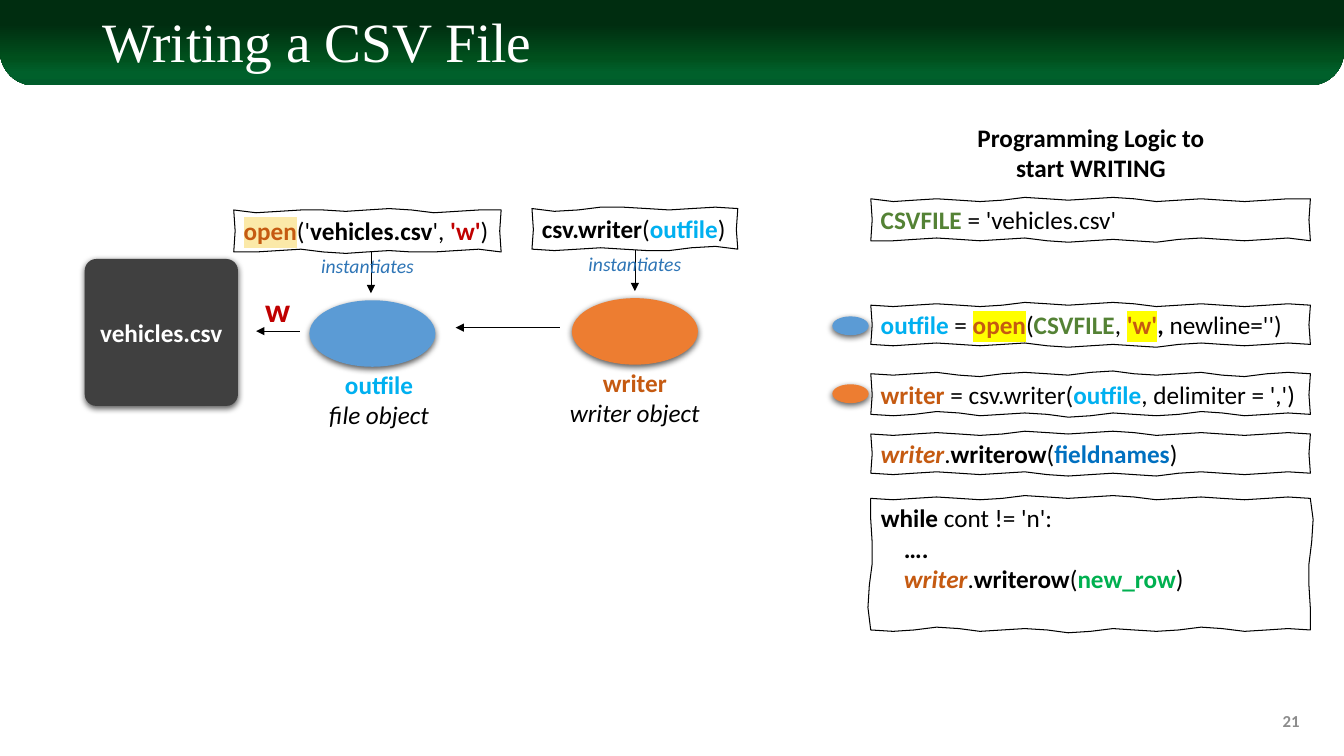
from math import pi, sin

from pptx import Presentation
from pptx.dml.color import RGBColor
from pptx.enum.shapes import MSO_CONNECTOR, MSO_SHAPE
from pptx.enum.text import MSO_ANCHOR, PP_ALIGN
from pptx.oxml import parse_xml
from pptx.oxml.ns import nsdecls
from pptx.util import Pt

COLOURS = {
    "white": "FFFFFF", "black": "000000", "grey": "8C8C8C", "charcoal": "404040",
    "blue": "5B9BD5", "orange": "ED7D31", "sky": "00B0F0", "rust": "C55A11",
    "red": "C00000", "olive": "548235", "azure": "0070C0", "green": "00B050",
    "steel": "2E75B6", "yellow": "FFFF00", "cream": "FBE9A8",
    "header top": "002D10", "header middle": "00501D",
    "header low": "00602B", "header bottom": "005C2B",
}
LEFT, CENTRE, RIGHT = PP_ALIGN.LEFT, PP_ALIGN.CENTER, PP_ALIGN.RIGHT
CODE_LEFT, CODE_WIDTH, ROW_HEIGHT = 622, 314, 29


def write(box, lines, align=CENTRE, size=18, font="Calibri", anchor=MSO_ANCHOR.TOP):
    frame = box.text_frame
    frame.word_wrap = align != CENTRE
    frame.vertical_anchor = anchor
    for index, line in enumerate(lines):
        para = frame.add_paragraph() if index else frame.paragraphs[0]
        para.alignment = align
        para.font.size = Pt(size)
        para.font.name = font
        for text, colour, style, *marker in line:
            span = para.add_run()
            span.text = text
            span.font.bold = "b" in style
            span.font.italic = "i" in style
            span.font.color.rgb = RGBColor.from_string(COLOURS[colour])
            for name in marker:
                span.font._element.append(parse_xml(
                    f'<a:highlight {nsdecls("a")}><a:srgbClr val="{COLOURS[name]}"/></a:highlight>'))


def add_sketched_box(left, top, width, height):
    points = []
    edges = [(left, top, 1, 0, width), (left + width, top, 0, 1, height),
             (left + width, top + height, -1, 0, width), (left, top + height, 0, -1, height)]
    for x, y, across, down, length in edges:
        waves = max(1, round(length / 64))
        steps = round(length / 16)
        for step in range(steps):
            share = step / steps
            wobble = 1.1 * sin(2 * pi * waves * share) + 0.6 * sin(3 * pi * share)
            points.append((x + across * length * share + down * wobble,
                           y + down * length * share + across * wobble))
    builder = page.shapes.build_freeform(*points[0], scale=Pt(1))
    builder.add_line_segments(points[1:], close=True)
    box = builder.convert_to_shape()
    box.shadow.inherit = False
    box.fill.background()
    box.line.color.rgb = RGBColor.from_string(COLOURS["black"])
    box.line.width = Pt(0.75)
    frame = box.text_frame
    frame.margin_left = Pt(left + 7.2) - box.left
    frame.margin_top = Pt(top + 3.6) - box.top
    frame.margin_right = frame.margin_bottom = Pt(3)
    return box


deck = Presentation()
deck.slide_width, deck.slide_height = Pt(960), Pt(540)
page = deck.slides.add_slide(deck.slide_layouts[6])

header = page.shapes.add_shape(MSO_SHAPE.ROUND_2_SAME_RECTANGLE, 0, 0, Pt(960), Pt(61))
header.adjustments[0], header.adjustments[1] = 0, 0.4
header.shadow.inherit = False
header.line.fill.background()
stops = [(0, "header top"), (28, "header top"), (68, "header middle"),
         (85, "header low"), (100, "header bottom")]
stop_xml = "".join(f'<a:gs pos="{position * 1000}"><a:srgbClr val="{COLOURS[name]}"/></a:gs>'
                   for position, name in stops)
header._element.spPr.insert(2, parse_xml(
    f'<a:gradFill {nsdecls("a")}><a:gsLst>{stop_xml}</a:gsLst><a:lin ang="5400000" scaled="0"/></a:gradFill>'))

title = page.shapes.add_textbox(Pt(66), Pt(9.5), Pt(828), Pt(44))
write(title, [[("Writing a CSV File", "white", "")]], LEFT, 39.6, "Times New Roman", MSO_ANCHOR.MIDDLE)
title.text_frame.paragraphs[0].line_spacing = 0.9

page_number = page.shapes.add_textbox(Pt(719.5), Pt(500.5), Pt(216), Pt(29))
write(page_number, [[("21", "grey", "b")]], RIGHT, 12, anchor=MSO_ANCHOR.MIDDLE)

solids = [
    (MSO_SHAPE.ROUNDED_RECTANGLE, 60.5, 185, 109.5, 105, "charcoal"),
    (MSO_SHAPE.OVAL, 221, 214.5, 90, 47.5, "blue"),
    (MSO_SHAPE.OVAL, 408.5, 213, 90, 47.5, "orange"),
    (MSO_SHAPE.OVAL, 594.5, 226, 26, 13.5, "blue"),
    (MSO_SHAPE.OVAL, 594.5, 274.5, 26, 13.5, "orange"),
]
for kind, left, top, width, height, colour in solids:
    solid = page.shapes.add_shape(kind, Pt(left), Pt(top), Pt(width), Pt(height))
    solid.fill.solid()
    solid.fill.fore_color.rgb = RGBColor.from_string(COLOURS[colour])
    solid.line.fill.background()
    solid._element.spPr.append(parse_xml(
        f'<a:effectLst {nsdecls("a")}><a:outerShdw blurRad="{Pt(4.5)}" dist="{Pt(1.5)}" dir="5400000" '
        f'rotWithShape="0"><a:srgbClr val="{COLOURS["black"]}"><a:alpha val="63000"/></a:srgbClr>'
        '</a:outerShdw></a:effectLst>'))
    if kind == MSO_SHAPE.ROUNDED_RECTANGLE:
        solid.adjustments[0] = 0.08
        write(solid, [[("vehicles.csv", "white", "b")]], anchor=MSO_ANCHOR.MIDDLE)

arrows = [(265, 180, 265, 209.5), (453.5, 178.5, 453.5, 208),
          (214, 236.5, 183, 236.5), (400, 234, 325.5, 234)]
for start_x, start_y, end_x, end_y in arrows:
    arrow = page.shapes.add_connector(MSO_CONNECTOR.STRAIGHT, Pt(start_x), Pt(start_y), Pt(end_x), Pt(end_y))
    arrow.line.color.rgb = RGBColor.from_string(COLOURS["black"])
    arrow.line.width = Pt(0.5)
    arrow.line._get_or_add_ln().append(parse_xml(f'<a:tailEnd {nsdecls("a")} type="triangle"/>'))
    arrow._element.spPr.append(parse_xml(f'<a:effectLst {nsdecls("a")}/>'))

labels = [
    (690, 83.5, 178.5, 51, 18, [[("Programming Logic to", "black", "b")], [("start WRITING", "black", "b")]]),
    (227.5, 260, 86.5, 51, 18, [[("outfile", "sky", "b")], [("file object", "black", "i")]]),
    (399.5, 258.5, 108, 51, 18, [[("writer", "rust", "b")], [("writer object", "black", "i")]]),
    (182, 202.5, 32.5, 36, 24, [[("w", "red", "b")]]),
    (221.5, 178, 82, 24.5, 14, [[("instantiates", "steel", "i")]]),
    (412.5, 176.5, 82, 24.5, 14, [[("instantiates", "steel", "i")]]),
]
for left, top, width, height, size, lines in labels:
    label = page.shapes.add_textbox(Pt(left), Pt(top), Pt(width), Pt(height))
    write(label, lines, size=size)

calls = [
    (167, 150.5, 191, [("open", "rust", "b", "cream"), ("('", "black", ""), ("vehicles.csv", "black", "b"),
                       ("', ", "black", ""), ("'w'", "red", "b"), (")", "black", "")]),
    (380, 149, 147, [("csv.writer", "black", "b"), ("(", "black", ""), ("outfile", "sky", "b"),
                     (")", "black", "")]),
]
for left, top, width, line in calls:
    write(add_sketched_box(left, top, width, ROW_HEIGHT), [line], LEFT)

code_rows = [
    (142.5, [("CSVFILE", "olive", "b"), (" = 'vehicles.csv'", "black", "")]),
    (217.5, [("outfile", "sky", "b"), (" = ", "black", ""), ("open", "rust", "b", "yellow"),
             ("(", "black", ""), ("CSVFILE", "olive", "b"), (", ", "black", ""),
             ("'w'", "rust", "b", "yellow"), (", ", "black", "b"), ("newline='')", "black", "")]),
    (267, [("writer", "rust", "b"), (" = csv.writer(", "black", ""), ("outfile", "sky", "b"),
           (", delimiter = ',')", "black", "")]),
    (309.5, [("writer", "rust", "bi"), (".", "black", ""), ("writerow", "black", "b"),
             ("(", "black", ""), ("fieldnames", "azure", "b"), (")", "black", "")]),
]
for top, line in code_rows:
    write(add_sketched_box(CODE_LEFT, top, CODE_WIDTH, ROW_HEIGHT), [line], LEFT)

loop_box = add_sketched_box(CODE_LEFT, 355.5, CODE_WIDTH, 94.5)
write(loop_box, [
    [("while", "black", "b"), (" cont != 'n':", "black", "")],
    [("….", "black", "b")],
    [("writer", "rust", "bi"), (".", "black", ""), ("writerow", "black", "b"), ("(", "black", ""),
     ("new_row", "green", "b"), (")", "black", "")],
], LEFT)
for para in loop_box.text_frame.paragraphs[1:]:
    para._p.get_or_add_pPr().set("marL", str(Pt(16.5)))

deck.save("out.pptx")
